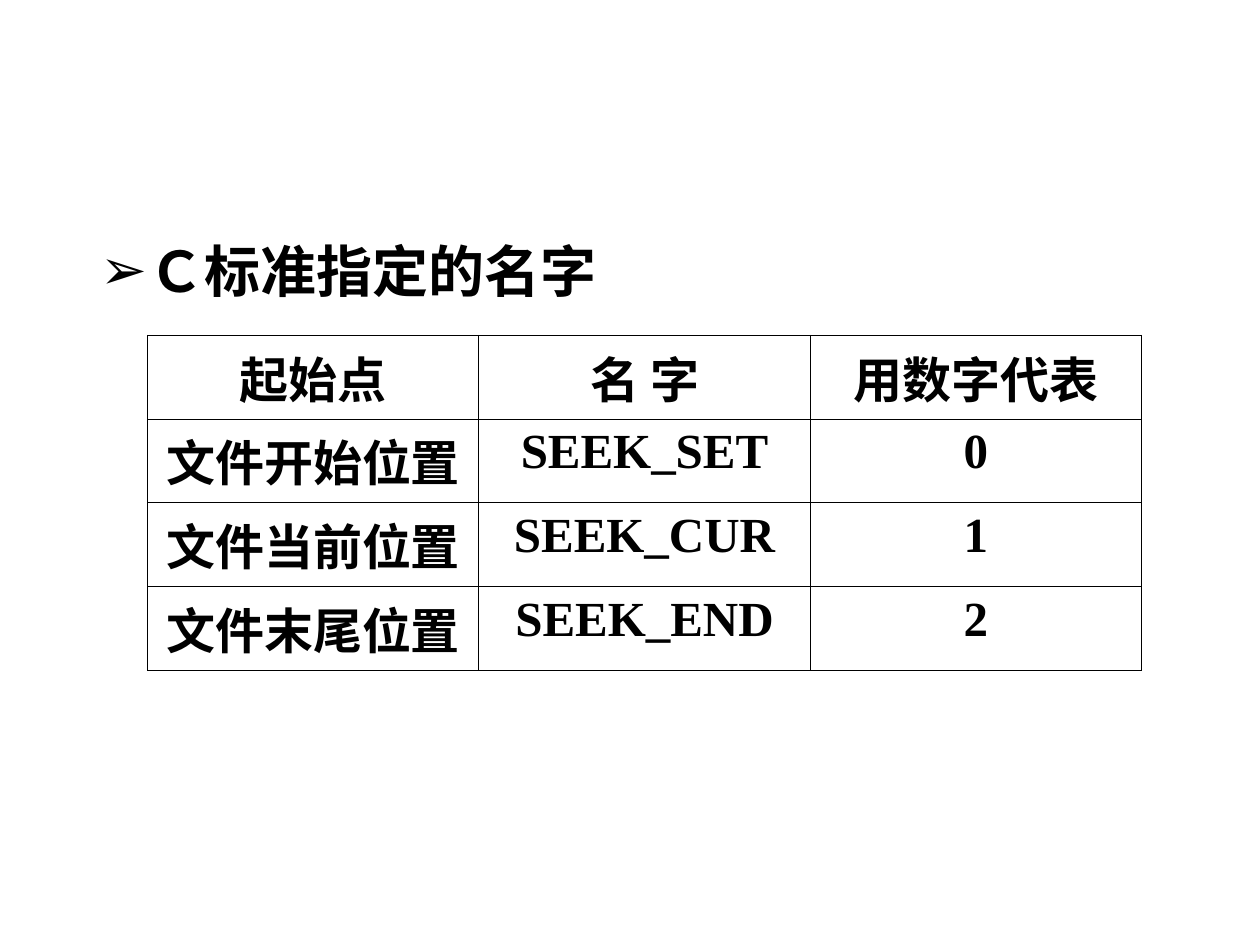
from dataclasses import dataclass

from lxml.etree import SubElement
from pptx import Presentation
from pptx.dml.color import RGBColor
from pptx.enum.text import MSO_ANCHOR, MSO_AUTO_SIZE, PP_ALIGN
from pptx.oxml.ns import qn
from pptx.slide import Slide
from pptx.util import Inches, Pt

BLACK = RGBColor(0x00, 0x00, 0x00)
WHITE = RGBColor(0xFF, 0xFF, 0xFF)

SEEK_ORIGINS = [
    ("起始点", "名\u2002字".replace("\u2002", " "), "用数字代表"),
    ("文件开始位置", "SEEK_SET", "0"),
    ("文件当前位置", "SEEK_CUR", "1"),
    ("文件末尾位置", "SEEK_END", "2"),
]


@dataclass
class SlideBuilder:
    slide: Slide
    heading_font: str = "DejaVu Sans"
    table_font: str = "Times New Roman"
    border: int = Pt(0.45)

    def format_font(self, paragraph, name, size):
        font = paragraph.font
        font.name = name
        font.size = Pt(size)
        font.bold = True
        font.color.rgb = BLACK

    def add_heading(self, text, left, top, width, height):
        body = self.slide.placeholders[1]
        body.left, body.top = Inches(left), Inches(top)
        body.width, body.height = Inches(width), Inches(height)
        frame = body.text_frame
        frame.auto_size = MSO_AUTO_SIZE.NONE
        frame.vertical_anchor = MSO_ANCHOR.TOP
        frame.text = text
        heading = frame.paragraphs[0]
        properties = heading._p.get_or_add_pPr()
        properties.set("marL", str(Inches(0.38)))
        properties.set("indent", str(-Inches(0.38)))
        bullet_color = SubElement(properties, qn("a:buClr"))
        SubElement(bullet_color, qn("a:srgbClr"), val=str(BLACK))
        SubElement(properties, qn("a:buChar"), char="➢")
        heading.line_spacing = 1.2
        heading.space_before = Pt(0)
        self.format_font(heading, self.heading_font, 32)

    def add_borders(self, cell):
        properties = cell._tc.get_or_add_tcPr()
        for position, side in enumerate(("lnL", "lnR", "lnT", "lnB")):
            line = properties.makeelement(qn(f"a:{side}"), {"w": str(self.border)})
            fill = SubElement(line, qn("a:solidFill"))
            SubElement(fill, qn("a:srgbClr"), val=str(BLACK))
            properties.insert(position, line)

    def add_table(self, rows, left, top, width, height):
        frame = self.slide.shapes.add_table(
            len(rows), len(rows[0]),
            Inches(left), Inches(top), Inches(width), Inches(height),
        )
        table = frame.table
        table.first_row = False
        table.horz_banding = False
        for row, texts in zip(table.rows, rows):
            for cell, text in zip(row.cells, texts):
                cell.text = text
                cell.margin_left = cell.margin_right = Inches(0.08)
                cell.margin_top = cell.margin_bottom = Inches(0.05)
                cell.fill.solid()
                cell.fill.fore_color.rgb = WHITE
                self.add_borders(cell)
                paragraph = cell.text_frame.paragraphs[0]
                paragraph.alignment = PP_ALIGN.CENTER
                self.format_font(paragraph, self.table_font, 28)


def main():
    deck = Presentation()
    deck.slide_width, deck.slide_height = Inches(10), Inches(7.5)
    slide = deck.slides.add_slide(deck.slide_layouts[1])
    title = slide.shapes.title
    title.element.getparent().remove(title.element)
    builder = SlideBuilder(slide)
    builder.add_heading("Ｃ标准指定的名字", 0.7, 1.72, 8.91, 0.86)
    builder.add_table(SEEK_ORIGINS, 1.17, 2.66, 7.89, 2.66)
    deck.save("out.pptx")


if __name__ == "__main__":
    main()
